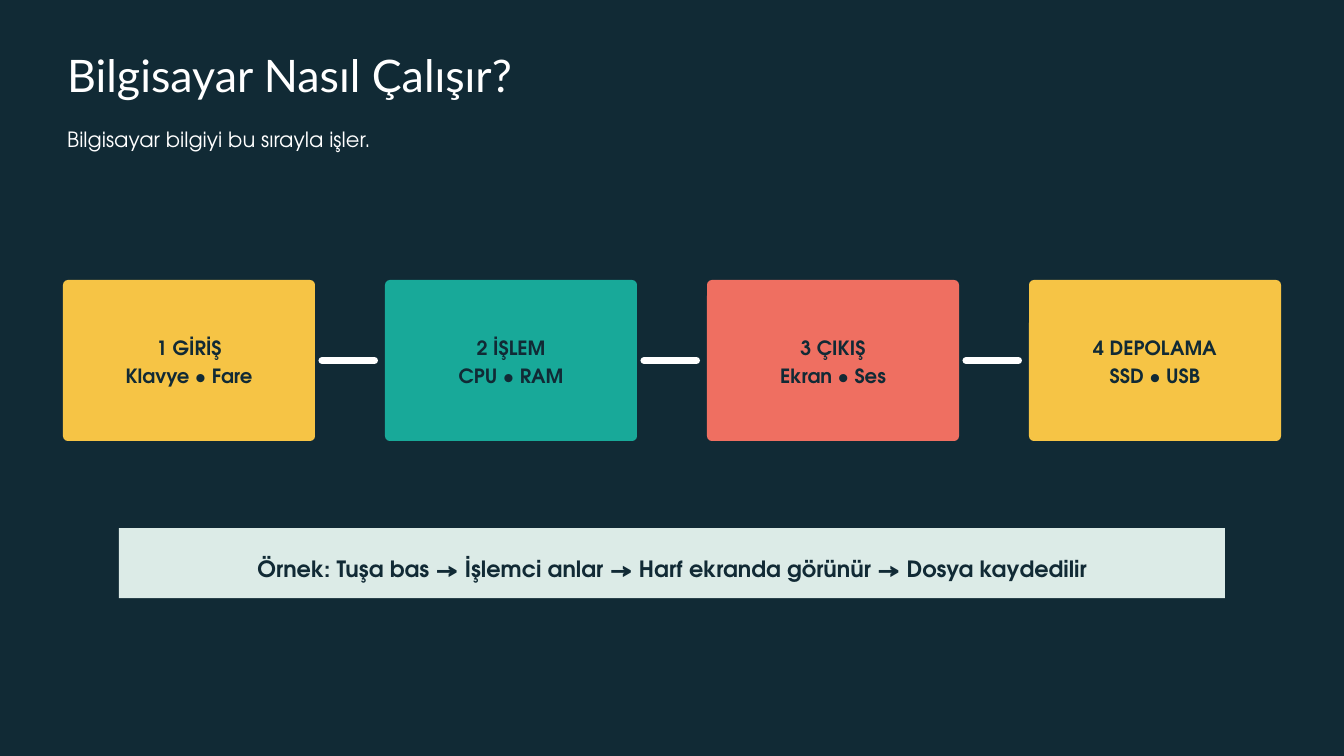
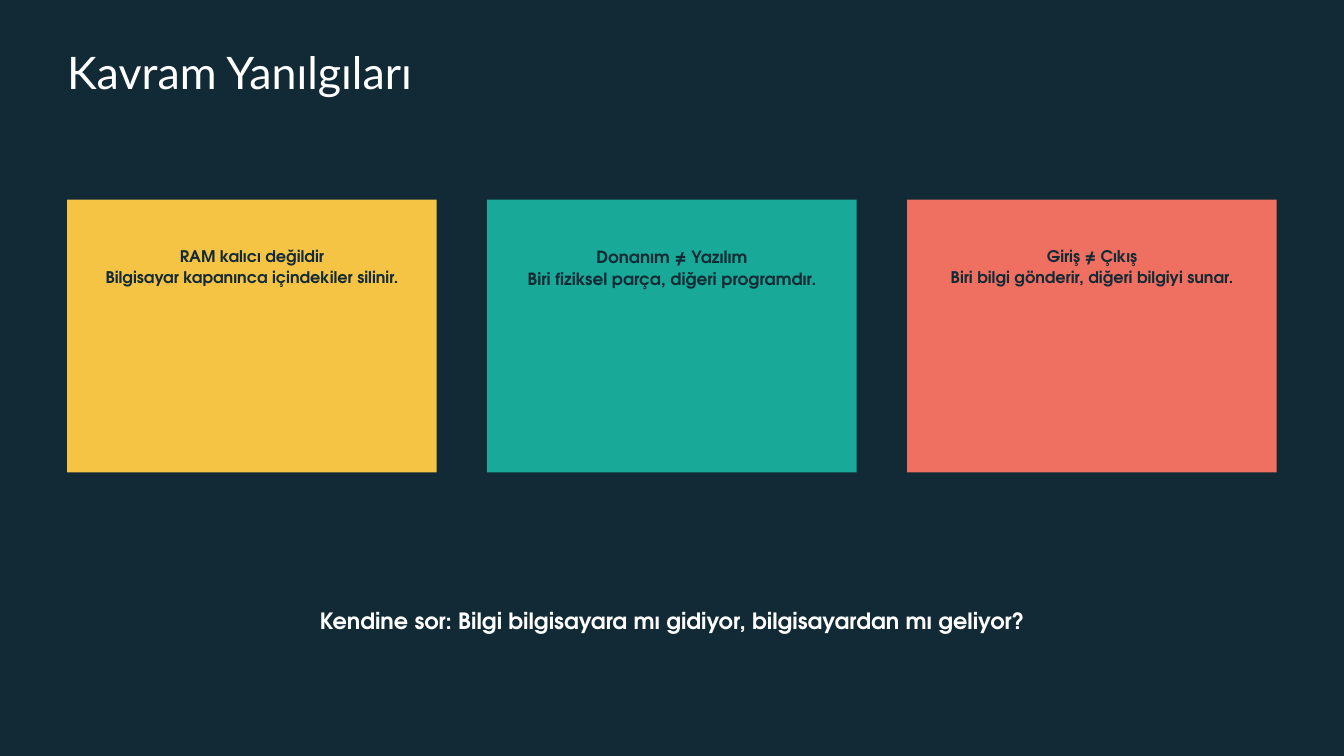
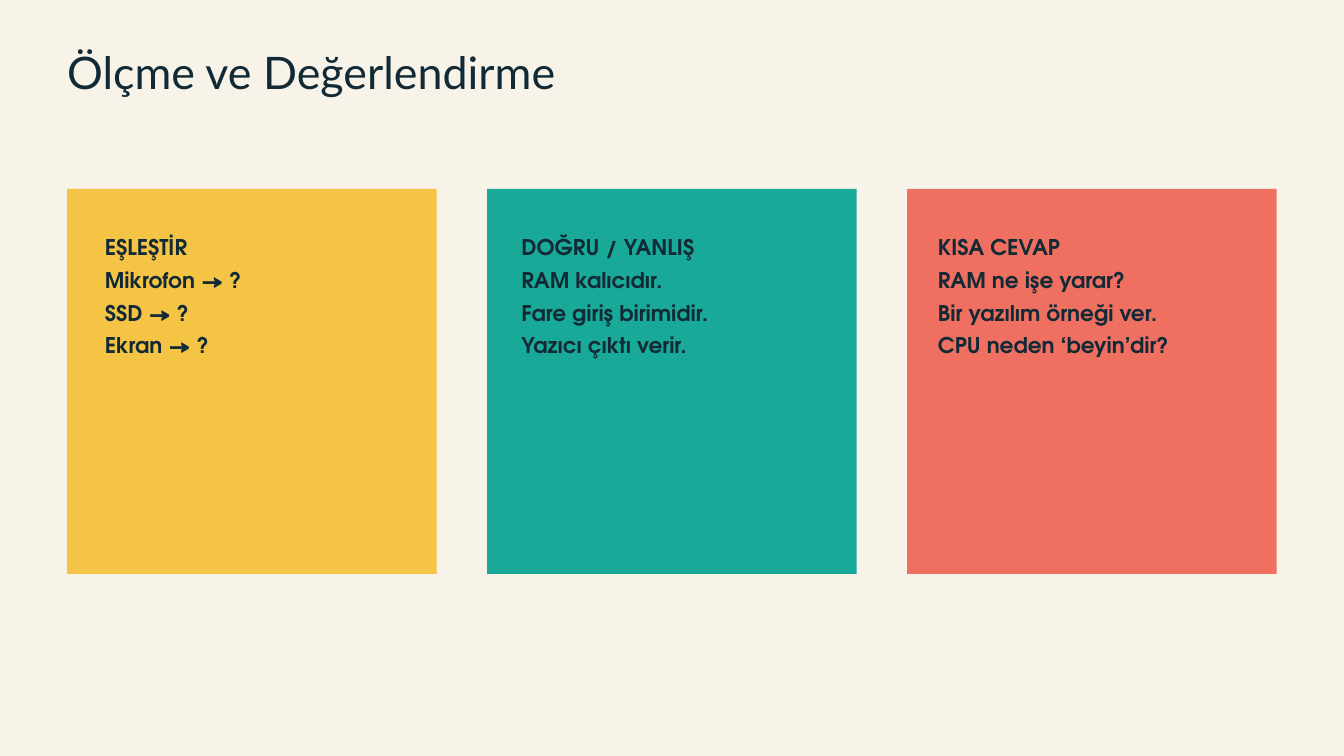
import pptx
import pptx.util
import pptx.dml.color
import pptx.enum.shapes
import pptx.enum.text
import pptx.oxml.ns
from lxml import etree

Pt = pptx.util.Pt
KIND = pptx.enum.shapes.MSO_SHAPE
ALIGN = pptx.enum.text.PP_ALIGN
ANCHOR = pptx.enum.text.MSO_ANCHOR
qn = pptx.oxml.ns.qn

HUES = {"navy": "112A35", "white": "FFFFFF", "cream": "F7F3E8", "mint": "DCEBE7",
        "gold": "F6C445", "teal": "18A999", "coral": "EF6F61"}
CYCLE = ["gold", "teal", "coral"]
HEAD, BODY = "Lato", "TeX Gyre Adventor"

FLOW = {
    "title": "Bilgisayar Nasıl Çalışır?",
    "lead": "Bilgisayar bilgiyi bu sırayla işler.",
    "steps": [
        ["1 GİRİŞ", "Klavye • Fare"],
        ["2 İŞLEM", "CPU • RAM"],
        ["3 ÇIKIŞ", "Ekran • Ses"],
        ["4 DEPOLAMA", "SSD • USB"],
    ],
    "sample": "Örnek: Tuşa bas → İşlemci anlar → Harf ekranda görünür → Dosya kaydedilir",
}
MYTHS = {
    "title": "Kavram Yanılgıları",
    "cards": [
        (17.2, ["RAM kalıcı değildir", "Bilgisayar kapanınca içindekiler silinir."]),
        (18, ["Donanım ≠ Yazılım", "Biri fiziksel parça, diğeri programdır."]),
        (17.2, ["Giriş ≠ Çıkış", "Biri bilgi gönderir, diğeri bilgiyi sunar."]),
    ],
    "ask": "Kendine sor: Bilgi bilgisayara mı gidiyor, bilgisayardan mı geliyor?",
}
QUIZ = {
    "title": "Ölçme ve Değerlendirme",
    "cards": [
        ["EŞLEŞTİR", "Mikrofon → ?", "SSD → ?", "Ekran → ?"],
        ["DOĞRU / YANLIŞ", "RAM kalıcıdır.", "Fare giriş birimidir.", "Yazıcı çıktı verir."],
        ["KISA CEVAP", "RAM ne işe yarar?", "Bir yazılım örneği ver.", "CPU neden ‘beyin’dir?"],
    ],
}


def tint(name):
    return pptx.dml.color.RGBColor.from_string(HUES[name])


def write(shape, lines, size, lead, hue="navy", face=BODY, bold=True,
          align=ALIGN.CENTER, anchor=ANCHOR.TOP, pad=(0, 0, 0, 0)):
    """Fill a shape with one paragraph a line; pad is left, top, right, bottom."""
    frame = shape.text_frame
    left, top, right, foot = map(Pt, pad)
    look = {"word_wrap": True, "auto_size": pptx.enum.text.MSO_AUTO_SIZE.NONE,
            "vertical_anchor": anchor, "margin_left": left, "margin_top": top,
            "margin_right": right, "margin_bottom": foot}
    for key, value in look.items():
        setattr(frame, key, value)
    frame.text = "\n".join(lines)
    for para in frame.paragraphs:
        para.alignment = align
        para.line_spacing = Pt(lead)
        para.space_before = Pt(0)
        for key, value in {"name": face, "size": Pt(size), "bold": bold}.items():
            setattr(para.font, key, value)
        para.font.color.rgb = tint(hue)


def start(deck, title, top, ground, ink):
    """Add a slide with its background and title."""
    slide = deck.slides.add_slide(deck.slide_layouts[5])
    fill = slide.background.fill
    fill.solid()
    fill.fore_color.rgb = tint(ground)
    head = slide.shapes.title
    place = {"left": 72, "top": top, "width": 937.5, "height": 51}
    for key, value in place.items():
        setattr(head, key, Pt(value))
    write(head, [title], 48, 50.4, ink, HEAD, False, ALIGN.LEFT)
    return slide


def note(slide, box, text, size, lead, **look):
    write(slide.shapes.add_textbox(*map(Pt, box)), [text], size, lead, "white", **look)


def panel(slide, box, hue, kind=KIND.RECTANGLE):
    shape = slide.shapes.add_shape(kind, *map(Pt, box))
    shape.shadow.inherit = False
    shape.fill.solid()
    shape.fill.fore_color.rgb = tint(hue)
    shape.line.fill.background()
    return shape


def row(slide, top, height):
    """Add three equal cards across the slide."""
    return [panel(slide, (72 + 450 * i, top, 396, height), hue)
            for i, hue in enumerate(CYCLE)]


def link(slide, left, y, width):
    bar = slide.shapes.add_connector(pptx.enum.shapes.MSO_CONNECTOR.STRAIGHT,
                                     Pt(left), Pt(y), Pt(left + width), Pt(y))
    bar.line.width = Pt(7.5)
    bar.line.color.rgb = tint("white")
    props = bar._element.spPr
    props.find(qn("a:ln")).set("cap", "rnd")
    etree.SubElement(props, qn("a:effectLst"))


def flow(deck):
    slide = start(deck, FLOW["title"], 58.5, "navy", "white")
    note(slide, (72, 132, 675, 30), FLOW["lead"], 22.5, 30.4, bold=False, align=ALIGN.LEFT)
    top, wide, high, step = 300, 270, 172.5, 345
    for i, lines in enumerate(FLOW["steps"]):
        left = 67.5 + step * i
        card = panel(slide, (left, top, wide, high), CYCLE[i % 3], KIND.ROUNDED_RECTANGLE)
        card.adjustments[0] = 0.03
        write(card, lines, 21, 29.4, anchor=ANCHOR.MIDDLE, pad=(4, 3, 4, 5))
        if i < len(FLOW["steps"]) - 1:
            link(slide, left + wide + 7.5, top + high / 2, 56.25)
    band = panel(slide, (127.5, 566, 1185, 75), "mint")
    write(band, [FLOW["sample"]], 24, 33.6, pad=(30, 24, 30, 0))


def myths(deck):
    slide = start(deck, MYTHS["title"], 54.75, "navy", "white")
    for card, (size, lines) in zip(row(slide, 213.75, 292.5), MYTHS["cards"]):
        write(card, lines, size, round(size * 1.35, 1), pad=(33, 47.5, 33, 0))
    note(slide, (195, 646, 1050, 31), MYTHS["ask"], 24, 33.6)


def quiz(deck):
    slide = start(deck, QUIZ["title"], 54.75, "cream", "navy")
    for i, card in enumerate(row(slide, 202.5, 412.5)):
        write(card, QUIZ["cards"][i], 23.2, 34.9, align=ALIGN.LEFT,
              pad=(40.5 - 3.75 * i, 41.5, 33, 0))


def main():
    deck = pptx.Presentation()
    deck.slide_width, deck.slide_height = Pt(1440), Pt(810)
    for build in (flow, myths, quiz):
        build(deck)
    deck.save("out.pptx")


if __name__ == "__main__":
    main()
